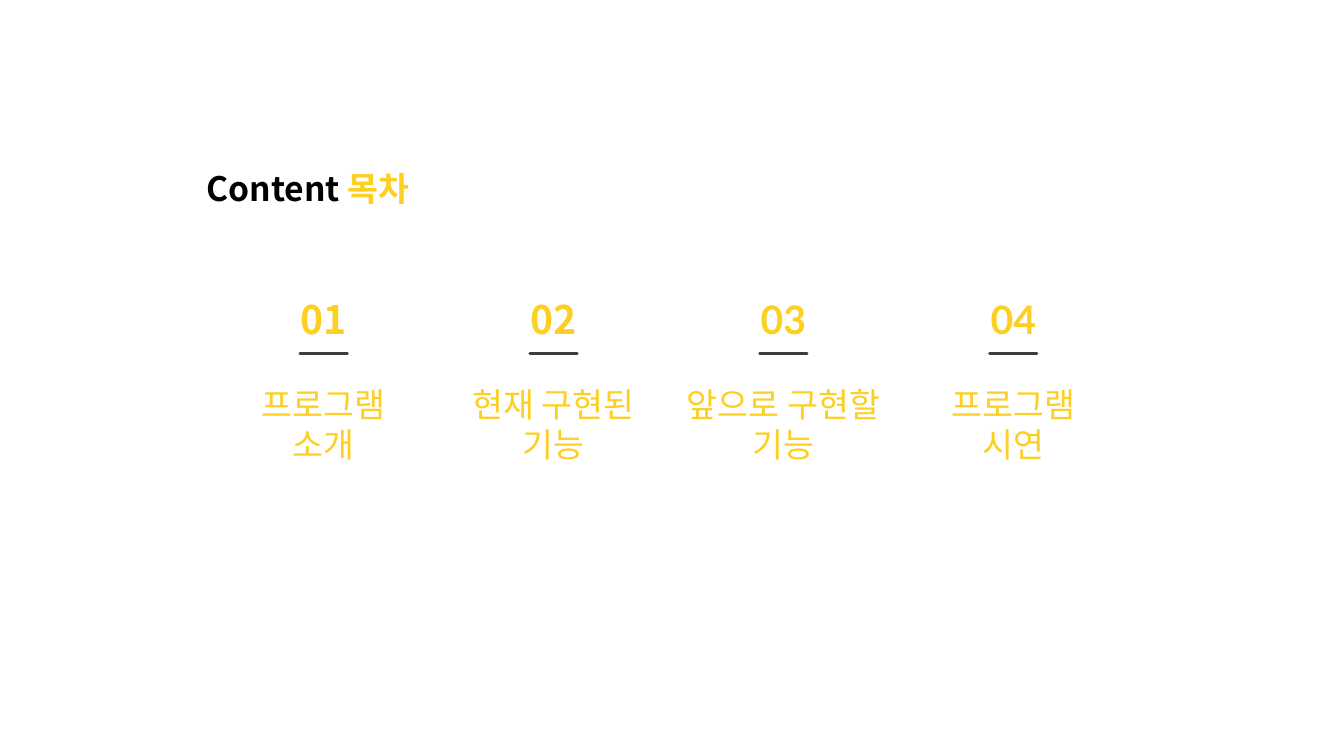
from lxml import etree
from pptx import Presentation
from pptx.dml.color import RGBColor
from pptx.enum import shapes, text
from pptx.oxml.ns import qn
from pptx.util import Inches, Pt

COLORS = {"accent": "FDCF20", "ink": "000000", "rule": "3F3B41"}
KOREAN, LATIN = "Noto Sans CJK KR", "Lato"


def add_run(paragraph, content, *, size=24, font=KOREAN, color="accent", bold=False):
    run = paragraph.add_run()
    run.text = content
    run.font.size = Pt(size)
    run.font.bold = bold
    run.font.color.rgb = RGBColor.from_string(COLORS[color])
    run.font.name = font
    # Hangul uses the East Asian typeface
    properties = run.font._element
    etree.SubElement(properties, qn("a:ea")).set("typeface", KOREAN)


class ContentsSlide:
    def __init__(self, presentation):
        self.slide = presentation.slides.add_slide(presentation.slide_layouts[6])

    def text(self, left, top, width, height, runs, align=text.PP_ALIGN.CENTER):
        box = self.slide.shapes.add_textbox(
            Inches(left), Inches(top), Inches(width), Inches(height))
        frame = box.text_frame
        frame.word_wrap = True
        frame.auto_size = text.MSO_AUTO_SIZE.SHAPE_TO_FIT_TEXT
        paragraph = frame.paragraphs[0]
        paragraph.alignment = align
        for content, style in runs:
            add_run(paragraph, content, **style)

    def rule(self, center, top, width):
        rule = self.slide.shapes.add_connector(
            shapes.MSO_CONNECTOR.STRAIGHT,
            Inches(center - width / 2), Inches(top),
            Inches(center + width / 2), Inches(top))
        rule.line.width = Pt(2)
        rule.line.color.rgb = RGBColor.from_string(COLORS["rule"])
        rule.line._get_or_add_ln().set("cap", "rnd")
        etree.SubElement(rule._element.spPr, qn("a:effectLst"))

    def chapter(self, center, number, title, number_font, title_font, title_width):
        self.text(center - 0.71 / 2, 2.88, 0.71, 0.57,
                  [(number, dict(size=28, font=number_font, bold=True))])
        self.rule(center, 3.51, 0.47)
        self.text(center - title_width / 2, 3.76, title_width, 0.9,
                  [(title, dict(font=title_font))])


def main():
    presentation = Presentation()
    presentation.slide_width = Inches(13.33)
    presentation.slide_height = Inches(7.5)
    contents = ContentsSlide(presentation)

    # Heading
    contents.text(1.95, 1.62, 2.59, 0.5,
                  [("Content ", dict(color="ink", bold=True)), ("목차", dict(bold=True))],
                  align=text.PP_ALIGN.LEFT)

    # Four evenly spaced chapters
    chapters = [
        ("프로그램 소개", KOREAN, KOREAN, 1.97),
        ("현재 구현된 기능", KOREAN, LATIN, 1.97),
        ("앞으로 구현할 기능", LATIN, LATIN, 2.2),
        ("프로그램 시연", LATIN, LATIN, 1.97),
    ]
    first_center, step = 3.21, 2.28
    for index, (title, number_font, title_font, title_width) in enumerate(chapters):
        contents.chapter(first_center + index * step, f"{index + 1:02}", title,
                         number_font, title_font, title_width)

    presentation.save("out.pptx")


if __name__ == "__main__":
    main()
